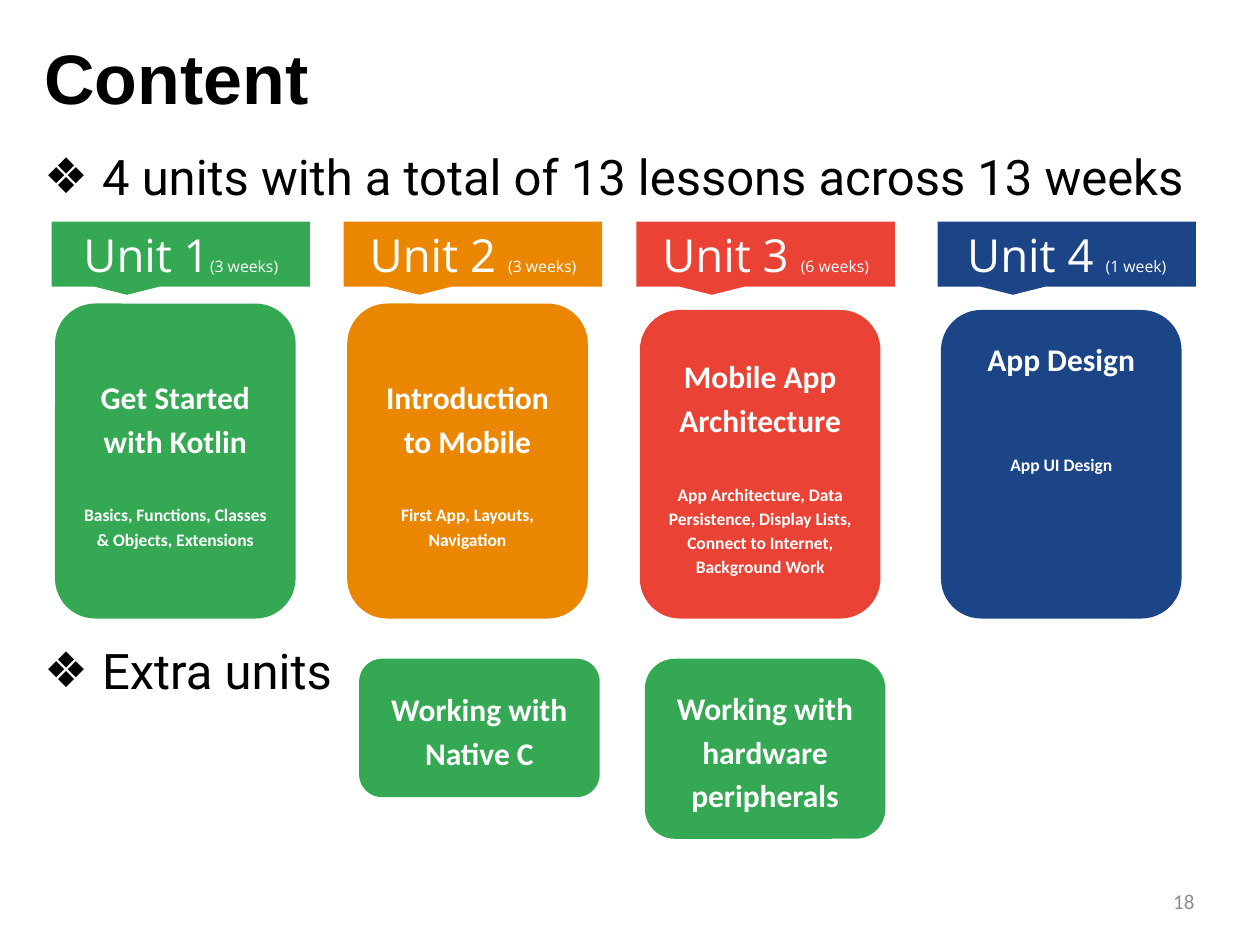
from lxml import etree
from pptx import Presentation
from pptx.dml.color import RGBColor
from pptx.enum.shapes import MSO_SHAPE
from pptx.enum.text import MSO_ANCHOR, PP_ALIGN
from pptx.oxml.ns import qn
from pptx.util import Cm, Pt

ROUNDED, CALLOUT = MSO_SHAPE.ROUNDED_RECTANGLE, MSO_SHAPE.ROUNDED_RECTANGULAR_CALLOUT
TOP, MIDDLE = MSO_ANCHOR.TOP, MSO_ANCHOR.MIDDLE
LEFT, CENTER, RIGHT = PP_ALIGN.LEFT, PP_ALIGN.CENTER, PP_ALIGN.RIGHT

COLORS = {
    "green": "34A853", "orange": "EA8600", "red": "EA4335", "blue": "1C4587",
    "white": "FFFFFF", "black": "000000", "gray": "8C8C8C",
}
CARD_HEAD = {"name": "Calibri", "size": Pt(18), "bold": True}
CARD_NOTE = {"name": "Calibri", "size": Pt(10), "bold": True}
UNIT_NAME = {"name": "Open Sans", "size": Pt(26)}
UNIT_TIME = {"name": "Open Sans", "size": Pt(9)}
BULLET = {"name": "Roboto", "size": Pt(28)}

CARD_WIDTH, HEADER_HEIGHT, CARD_INSET = 4.85, 1.31, 0.07
UNITS = [
    {"left": 1.04, "color": "green", "name": "Unit 1", "time": "(3 weeks)", "drop": 1.65,
     "head": "Get Started with Kotlin", "note": "Basics, Functions, Classes & Objects, Extensions",
     "before": (14, 24), "anchor": MIDDLE},
    {"left": 6.93, "color": "orange", "name": "Unit 2 ", "time": "(3 weeks)", "drop": 1.65,
     "head": "Introduction to Mobile", "note": "First App, Layouts, Navigation",
     "before": (0, 24), "anchor": MIDDLE},
    {"left": 12.83, "color": "red", "name": "Unit 3 ", "time": "(6 weeks)", "drop": 1.78,
     "head": "Mobile App Architecture",
     "note": "App Architecture, Data Persistence, Display Lists, Connect to Internet, Background Work",
     "before": (36, 24), "anchor": MIDDLE},
    {"left": 18.9, "color": "blue", "name": "Unit 4 ", "time": "(1 week)", "drop": 1.78,
     "head": "App Design", "note": "App UI Design",
     "before": (24, 42), "anchor": TOP},
]
EXTRAS = [
    (7.24, 2.79, "Working with Native C"),
    (13.0, 3.63, "Working with hardware peripherals"),
]


def set_all(target, values):
    """Set each attribute of target from a dict of format values."""
    for name, value in values.items():
        setattr(target, name, value)


def add_run(p, text, font, color):
    """Add a formatted run to a paragraph."""
    r = p.add_run()
    r.text = text
    set_all(r.font, font)
    r.font.color.rgb = RGBColor.from_string(COLORS[color])


def add_block(s, kind, box, color, adjustments, anchor=MIDDLE):
    """Add a filled shape without outline and return its text frame."""
    sp = s.shapes.add_shape(kind, *map(Cm, box))
    sp.shadow.inherit = False
    sp.fill.solid()
    sp.fill.fore_color.rgb = RGBColor.from_string(COLORS[color])
    sp.line.fill.background()
    for i, value in enumerate(adjustments):
        sp.adjustments[i] = value
    tf = sp.text_frame
    set_all(tf, {"word_wrap": True, "vertical_anchor": anchor})
    sides = ("left", "top", "right", "bottom")
    set_all(tf, {f"margin_{side}": Cm(0.25) for side in sides})
    return tf


def add_card(s, box, color, head, before=(14, 24), note=None, anchor=MIDDLE):
    """Add a rounded card with a heading and an optional note."""
    tf = add_block(s, ROUNDED, box, color, [0.167], anchor)
    p = tf.paragraphs[0]
    set_all(p, {"alignment": CENTER, "line_spacing": 1.15, "space_before": Pt(before[0])})
    add_run(p, head, CARD_HEAD, "white")
    if note:
        p = tf.add_paragraph()
        set_all(p, {"alignment": CENTER, "line_spacing": 1.15,
                    "space_before": Pt(before[1]), "space_after": Pt(6)})
        add_run(p, note, CARD_NOTE, "white")


def add_unit(s, box, unit):
    """Add a unit's callout header with its card below."""
    left, top, width, height = box
    tf = add_block(s, CALLOUT, (left, top, width, HEADER_HEIGHT), unit["color"], [-0.208, 0.625, 0])
    p = tf.paragraphs[0]
    p.alignment = CENTER
    add_run(p, unit["name"], UNIT_NAME, "white")
    add_run(p, unit["time"], UNIT_TIME, "white")
    drop = unit["drop"]
    card = (left + CARD_INSET, top + drop, CARD_WIDTH, height - drop)
    add_card(s, card, unit["color"], unit["head"], unit["before"], unit["note"], unit["anchor"])


def add_title(s, box, text):
    """Place and format the title placeholder."""
    sp = s.shapes.title
    set_all(sp, dict(zip(("left", "top", "width", "height"), map(Cm, box))))
    tf = sp.text_frame
    tf.vertical_anchor = MIDDLE
    p = tf.paragraphs[0]
    set_all(p, {"alignment": LEFT, "line_spacing": 0.9})
    add_run(p, text, {"name": "Arial", "size": Pt(40), "bold": True}, "black")


def add_bullets(s, box, items):
    """Add bulleted lines, each given as text and space before."""
    tf = s.shapes.add_textbox(*map(Cm, box)).text_frame
    tf.word_wrap = True
    for i, (text, before) in enumerate(items):
        p = tf.add_paragraph() if i else tf.paragraphs[0]
        set_all(p, {"line_spacing": 0.9, "space_before": Pt(before)})
        add_run(p, text, BULLET, "black")
        pPr = p._p.get_or_add_pPr()
        pPr.set("marL", str(Cm(1.17)))
        pPr.set("indent", str(-Cm(1.17)))
        etree.SubElement(pPr, qn("a:buFont")).set("typeface", "Arial")
        etree.SubElement(pPr, qn("a:buChar")).set("char", "❖")


def add_page_number(s, box, number):
    """Add the page number at the right of its box."""
    tf = s.shapes.add_textbox(*map(Cm, box)).text_frame
    set_all(tf, {"word_wrap": True, "vertical_anchor": MIDDLE})
    p = tf.paragraphs[0]
    p.alignment = RIGHT
    add_run(p, number, {"name": "Calibri", "size": Pt(12)}, "gray")


def main():
    """Build the slide and save it."""
    prs = Presentation()
    set_all(prs, {"slide_width": Cm(25.4), "slide_height": Cm(19.05)})
    s = prs.slides.add_slide(prs.slide_layouts[5])
    add_title(s, (0.64, 0.33, 23.7, 2.62), "Content")
    add_bullets(s, (0.64, 2.97, 23.7, 14.2),
                [("4 units with a total of 13 lessons across 13 weeks", 0), ("Extra units", 252)])
    add_page_number(s, (17.93, 17.65, 6.4, 1.02), "18")
    for unit in UNITS:
        add_unit(s, (unit["left"], 4.47, 5.21, 8), unit)
    for left, height, head in EXTRAS:
        add_card(s, (left, 13.28, CARD_WIDTH, height), "green", head)
    prs.save("out.pptx")


if __name__ == "__main__":
    main()
